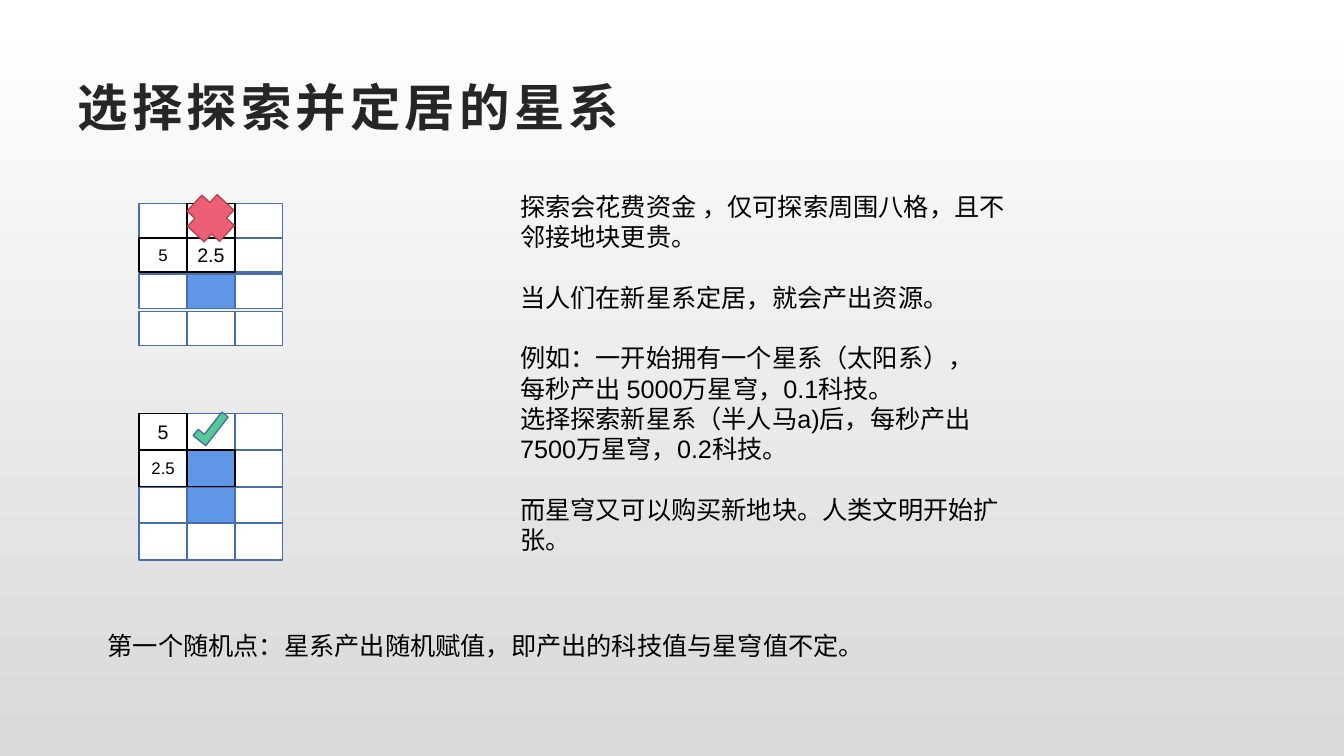
from pptx import Presentation
from pptx.dml.color import RGBColor
from pptx.enum.shapes import MSO_SHAPE
from pptx.enum.text import MSO_ANCHOR, PP_ALIGN
from pptx.util import Inches, Pt

COLORS = {
    "top": "FFFFFF", "bottom": "D9D9D9", "title": "262626", "text": "000000",
    "empty": "FFFFFF", "settled": "6096E6", "grid": "476FAA", "priced": "000000",
    "cross": "EC5F74", "cross_line": "AF4656", "check": "56CA95",
}
FONT = "Arial"
CELL_W = 0.475
RULES = [
    ("探索会花费资金 ，仅可探索周围八格，且不邻接地块更贵。", False),
    ("当人们在新星系定居，就会产出资源。", True),
    ("例如：一开始拥有一个星系（太阳系），", True),
    ("每秒产出 5000万星穹，0.1科技。", False),
    ("选择探索新星系（半人马a)后，每秒产出7500万星穹，0.2科技。", False),
    ("而星穹又可以购买新地块。人类文明开始扩张。", True),
]
RANDOM_POINT = [("第一个随机点：星系产出随机赋值，即产出的科技值与星穹值不定。", False)]


def rgb(name):
    return RGBColor.from_string(COLORS[name])


def style(p, size, color="text"):
    for r in p.runs:
        r.font.size = Pt(size)
        r.font.name = FONT
        r.font.color.rgb = rgb(color)


def paint(sp, fill, line):
    sp.shadow.inherit = False
    sp.fill.solid()
    sp.fill.fore_color.rgb = rgb(fill)
    sp.line.color.rgb = rgb(line)
    sp.line.width = Pt(1)


def add_shape(slide, kind, box, fill, line):
    sp = slide.shapes.add_shape(kind, *map(Inches, box))
    paint(sp, fill, line)
    return sp


def add_background(slide):
    fill = slide.background.fill
    fill.gradient()
    fill.gradient_angle = 270
    for stop, name in zip(fill.gradient_stops, ("top", "bottom")):
        stop.color.rgb = rgb(name)


def add_title(slide, box, text):
    title = slide.shapes.title
    title.left, title.top, title.width, title.height = map(Inches, box)
    tf = title.text_frame
    tf.text = text
    tf.vertical_anchor = MSO_ANCHOR.MIDDLE
    p = tf.paragraphs[0]
    p.alignment = PP_ALIGN.LEFT
    style(p, 36, "title")
    p.runs[0].font.bold = True
    p.runs[0].font._element.set("spc", "300")


def add_map(slide, left, row_tops, cell_h, settled, priced, labels):
    cells = [(row, col) for row in range(len(row_tops)) for col in range(3)]
    for cell in sorted(cells, key=lambda c: c in priced):
        row, col = cell
        box = (left + col * CELL_W, row_tops[row], CELL_W, cell_h)
        sp = add_shape(slide, MSO_SHAPE.RECTANGLE, box,
                       "settled" if cell in settled else "empty",
                       "priced" if cell in priced else "grid")
        if cell in labels:
            text, size = labels[cell]
            tf = sp.text_frame
            tf.margin_left = tf.margin_right = 0
            tf.vertical_anchor = MSO_ANCHOR.MIDDLE
            tf.text = text
            tf.paragraphs[0].alignment = PP_ALIGN.CENTER
            style(tf.paragraphs[0], size)


def add_cross(slide, box):
    sp = add_shape(slide, MSO_SHAPE.CROSS, box, "cross", "cross_line")
    sp.rotation = 43


def add_check(slide, box):
    x, y, w, h = box
    arm = h / 2
    corners = [(0, 0), (arm, 0), (arm, h - arm), (w, h - arm), (w, h), (0, h)]
    points = [(Inches(x + dx), Inches(y + dy)) for dx, dy in corners]
    builder = slide.shapes.build_freeform(*points[0])
    builder.add_line_segments(points[1:], close=True)
    sp = builder.convert_to_shape()
    paint(sp, "check", "grid")
    sp.rotation = 308


def add_text(slide, box, lines):
    tf = slide.shapes.add_textbox(*map(Inches, box)).text_frame
    tf.word_wrap = True
    for i, (text, gap) in enumerate(lines):
        p = tf.add_paragraph() if i else tf.paragraphs[0]
        p.text = text
        style(p, 18)
        if gap:
            p.space_before = Pt(21.6)


def main():
    prs = Presentation()
    prs.slide_width, prs.slide_height = Inches(13.33), Inches(7.5)
    slide = prs.slides.add_slide(prs.slide_layouts[5])
    add_background(slide)
    add_title(slide, (0.67, 0.67, 12, 0.77), "选择探索并定居的星系")

    add_map(slide, 1.38, [2.02, 2.36, 2.72, 3.09], 0.34,
            settled={(2, 1)}, priced={(0, 1), (1, 0), (1, 1)},
            labels={(1, 0): ("5", 12), (1, 1): ("2.5", 14)})
    add_cross(slide, (1.87, 1.95, 0.44, 0.43))

    add_map(slide, 1.38, [4.1 + 0.365 * row for row in range(4)], 0.36,
            settled={(1, 1), (2, 1)}, priced={(0, 0), (1, 0), (1, 1)},
            labels={(0, 0): ("5", 14), (1, 0): ("2.5", 12)})
    add_check(slide, (1.91, 4.15, 0.36, 0.16))

    add_text(slide, (5.06, 1.85, 5.15, 3.82), RULES)
    add_text(slide, (0.97, 6.2, 11.35, 0.4), RANDOM_POINT)
    prs.save("out.pptx")


if __name__ == "__main__":
    main()
